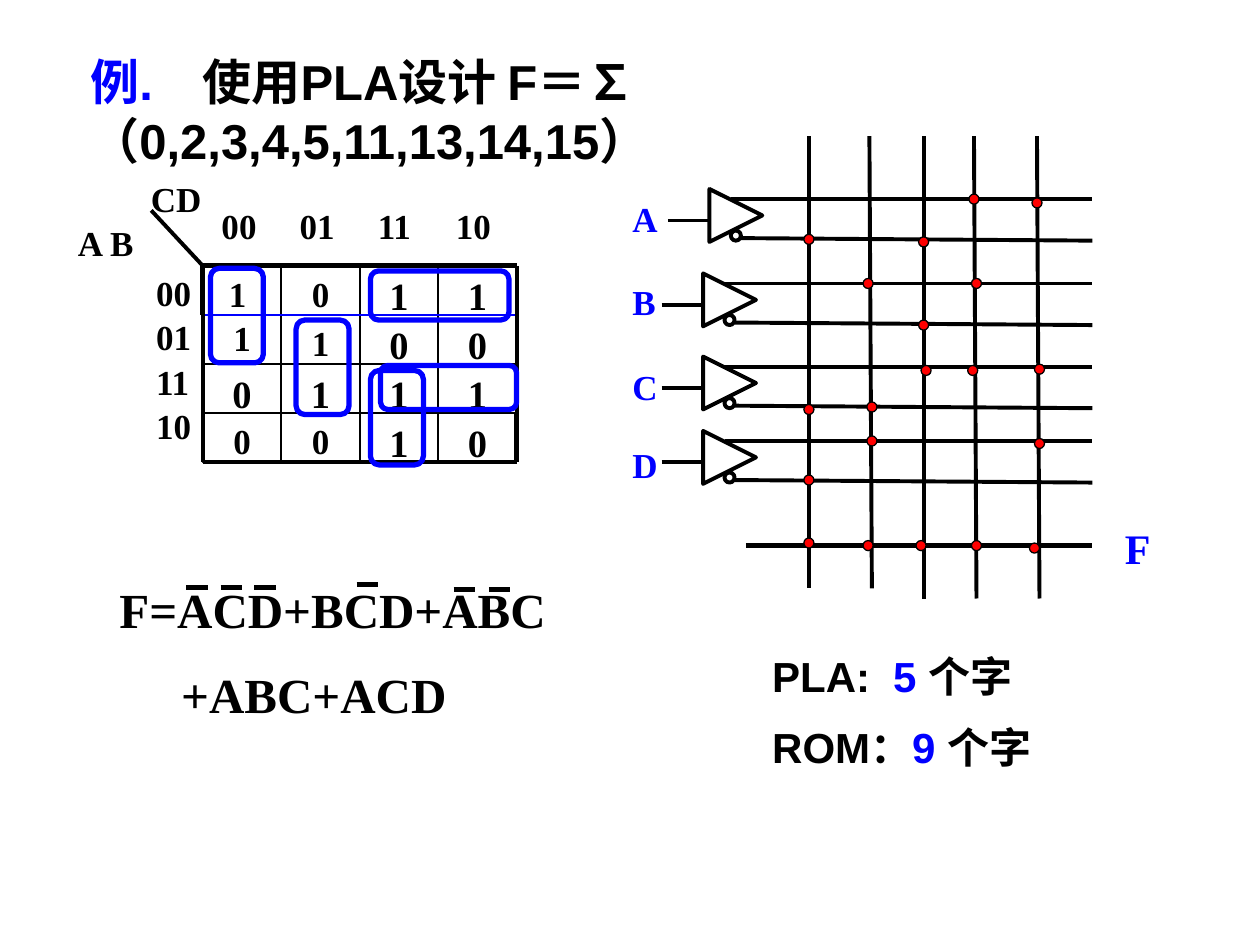
from lxml import etree
from pptx import Presentation
from pptx.dml.color import RGBColor
from pptx.enum.shapes import MSO_CONNECTOR, MSO_SHAPE
from pptx.enum.text import MSO_ANCHOR, PP_ALIGN
from pptx.oxml.ns import qn
from pptx.util import Inches, Pt

BLACK = RGBColor(0x00, 0x00, 0x00)
BLUE = RGBColor(0x00, 0x00, 0xFF)
RED = RGBColor(0xFF, 0x00, 0x00)
STRAIGHT = MSO_CONNECTOR.STRAIGHT
RECTANGLE = MSO_SHAPE.RECTANGLE
ROUNDED = MSO_SHAPE.ROUNDED_RECTANGLE
TRIANGLE = MSO_SHAPE.ISOSCELES_TRIANGLE
OVAL = MSO_SHAPE.OVAL
TOP = MSO_ANCHOR.TOP
LEFT = PP_ALIGN.LEFT
CENTER = PP_ALIGN.CENTER
SERIF = "Times New Roman"
SANS = "Arial"

presentation = Presentation()
presentation.slide_width = Inches(10)
presentation.slide_height = Inches(7.5)
slide = presentation.slides.add_slide(presentation.slide_layouts[6])


def add_text(paragraphs, box, size=20, font=SERIF, color=BLACK, align=LEFT,
             border=False, space=0, spacing=None, tabs=()):
    frame_box = [Inches(value) for value in box]
    if border:
        shape = slide.shapes.add_shape(RECTANGLE, *frame_box)
        shape.shadow.inherit = False
        shape.fill.background()
        shape.line.color.rgb = BLACK
        shape.line.width = Pt(1)
    else:
        shape = slide.shapes.add_textbox(*frame_box)
    frame = shape.text_frame
    frame.word_wrap = True
    frame.vertical_anchor = TOP
    if isinstance(paragraphs, str):
        paragraphs = [[(line, color)] for line in paragraphs.split("\n")]
    for index, runs in enumerate(paragraphs):
        paragraph = frame.add_paragraph() if index else frame.paragraphs[0]
        if tabs:
            properties = paragraph._p.get_or_add_pPr()
            tab_list = etree.SubElement(properties, qn("a:tabLst"))
            for position in tabs:
                etree.SubElement(tab_list, qn("a:tab"), pos=str(Inches(position)), algn="l")
        paragraph.alignment = align
        if spacing:
            paragraph.line_spacing = spacing
        if index:
            paragraph.space_before = Pt(space)
        for text, run_color in runs:
            run = paragraph.add_run()
            run.text = text
            run.font.name = font
            run.font.size = Pt(size)
            run.font.bold = True
            run.font.color.rgb = run_color
    return shape


def add_line(x1, y1, x2, y2, width=2.25, color=BLACK):
    line = slide.shapes.add_connector(STRAIGHT, Inches(x1), Inches(y1), Inches(x2), Inches(y2))
    line.line.color.rgb = color
    line.line.width = Pt(width)
    etree.SubElement(line._element.spPr, qn("a:effectLst"))


add_text([[("例.\t", BLUE), ("使用PLA设计 F＝∑（0,2,3,4,5,11,13,14,15）", BLACK)]],
         (0.62, 0.36, 8.75, 0.57), size=28, font=SANS, tabs=[0.89])

map_left, map_top, cell_width, cell_height = 1.61, 2.11, 0.6225, 0.39
map_right = map_left + 4 * cell_width
map_bottom = map_top + 4 * cell_height
map_rows = [
    [("1 ", 20), ("0", 20), ("1", 22), ("1", 22)],
    [("1", 20), ("1", 20), ("0", 22), ("0", 22)],
    [("0", 22), ("1", 22), ("1", 22), ("1", 22)],
    [("0", 20), ("0", 20), ("1", 22), ("0", 22)],
]
for row, cells in enumerate(map_rows):
    for column, (value, size) in enumerate(cells):
        bordered = (row, column) != (1, 0)
        top = map_top + row * cell_height - (0 if bordered else 0.04)
        add_text(value, (map_left + column * cell_width, top, cell_width, cell_height),
                 size=size, align=CENTER, border=bordered)

add_line(map_left, map_top, map_right, map_top, 3)
add_line(map_left, map_top + cell_height, map_right, map_top + cell_height, 1, BLUE)
add_line(map_left, map_bottom, map_right, map_bottom)
add_line(map_left, map_top, map_left, map_top + cell_height, 3)
add_line(map_left, map_top + cell_height, map_left, map_bottom)
add_line(map_right, map_top, map_right, map_bottom - cell_height)
add_line(map_right, map_bottom - cell_height, map_right, map_bottom, 3)
add_line(map_left, map_top, 1.2, 1.67)

add_text("00\t01\t11\t10", (1.66, 1.57, 2.53, 0.43), tabs=[0.62, 1.24, 1.86])
add_text("00\n01\n11\n10", (1.14, 2.22, 0.52, 1.41), space=11, spacing=0.6)
add_text("A B", (0.52, 1.71, 1.17, 0.43))
add_text("CD", (1.1, 1.36, 1, 0.43))

equation = add_text("F=ACD+BCD+ABC\n+ABC+ACD", (0.85, 4.55, 5.83, 1.28), size=28, space=15)
equation.text_frame.paragraphs[1]._p.get_or_add_pPr().set("marL", str(Inches(0.49)))
for x, y in [(1.48, 4.66), (1.75, 4.66), (2.02, 4.66), (2.83, 4.64), (3.6, 4.68), (3.88, 4.68)]:
    add_line(x, y, x + 0.17, y, 3)

add_text([[("PLA:\t", BLACK), ("5 ", BLUE), ("个字", BLACK)],
          [("ROM：", BLACK), ("9 ", BLUE), ("个字", BLACK)]],
         (6.03, 5.11, 4.42, 1.11), size=24, font=SANS, space=12, tabs=[0.96])

shapes = [(ROUNDED, box, 0, None, BLUE, 3) for box in [
    (1.67, 2.13, 0.42, 0.75), (2.35, 2.54, 0.42, 0.75), (2.94, 2.94, 0.42, 0.75),
    (2.94, 2.15, 1.1, 0.39), (3.02, 2.9, 1.08, 0.35),
]]

bus_right = 8.67
gates = [("A", 5.63, 1.5, 1.52), ("B", 5.58, 2.17, 2.18),
         ("C", 5.58, 2.83, 2.85), ("D", 5.58, 3.42, 3.47)]
for name, left, top, label_top in gates:
    add_text(name, (4.92, label_top, 0.67, 0.43), color=BLUE)
    add_line(left - 0.33, top + 0.25, left, top + 0.25)
    add_line(left + 0.17, top + 0.08, bus_right, top + 0.08)
    add_line(left + 0.25, top + 0.39, bus_right, top + 0.41)
    shapes.append((TRIANGLE, (left, top, 0.42, 0.42), 90, None, BLACK, 2.25))
    shapes.append((OVAL, (left + 0.17, top + 0.33, 0.08, 0.08), 0, None, BLACK, 2.25))

add_line(5.92, 4.33, bus_right, 4.33, 3)
add_text("F", (8.83, 4.1, 0.67, 0.5), size=24, color=BLUE)
for x_top, x_bottom, bottom in [(6.42, 6.42, 4.67), (6.9, 6.92, 4.67), (7.33, 7.33, 4.75),
                                (7.73, 7.75, 4.75), (8.23, 8.25, 4.75)]:
    add_line(x_top, 1.08, x_bottom, bottom)

dots = [
    (6.38, 1.86), (6.38, 3.21), (6.38, 3.77), (6.38, 4.27),
    (6.85, 2.21), (6.88, 3.19), (6.88, 3.46), (6.85, 4.29),
    (7.29, 1.88), (7.29, 2.54), (7.31, 2.9), (7.27, 4.29),
    (7.69, 1.54), (7.71, 2.21), (7.68, 2.9), (7.71, 4.29),
    (8.19, 1.57), (8.21, 2.89), (8.21, 3.48), (8.17, 4.31),
]
shapes += [(OVAL, (x, y, 0.08, 0.08), 0, RED, BLACK, 0.75) for x, y in dots]

for kind, box, rotation, fill, color, width in shapes:
    shape = slide.shapes.add_shape(kind, *[Inches(value) for value in box])
    shape.shadow.inherit = False
    shape.rotation = rotation
    shape.line.color.rgb = color
    shape.line.width = Pt(width)
    if fill is None:
        shape.fill.background()
    else:
        shape.fill.solid()
        shape.fill.fore_color.rgb = fill

presentation.save("out.pptx")
